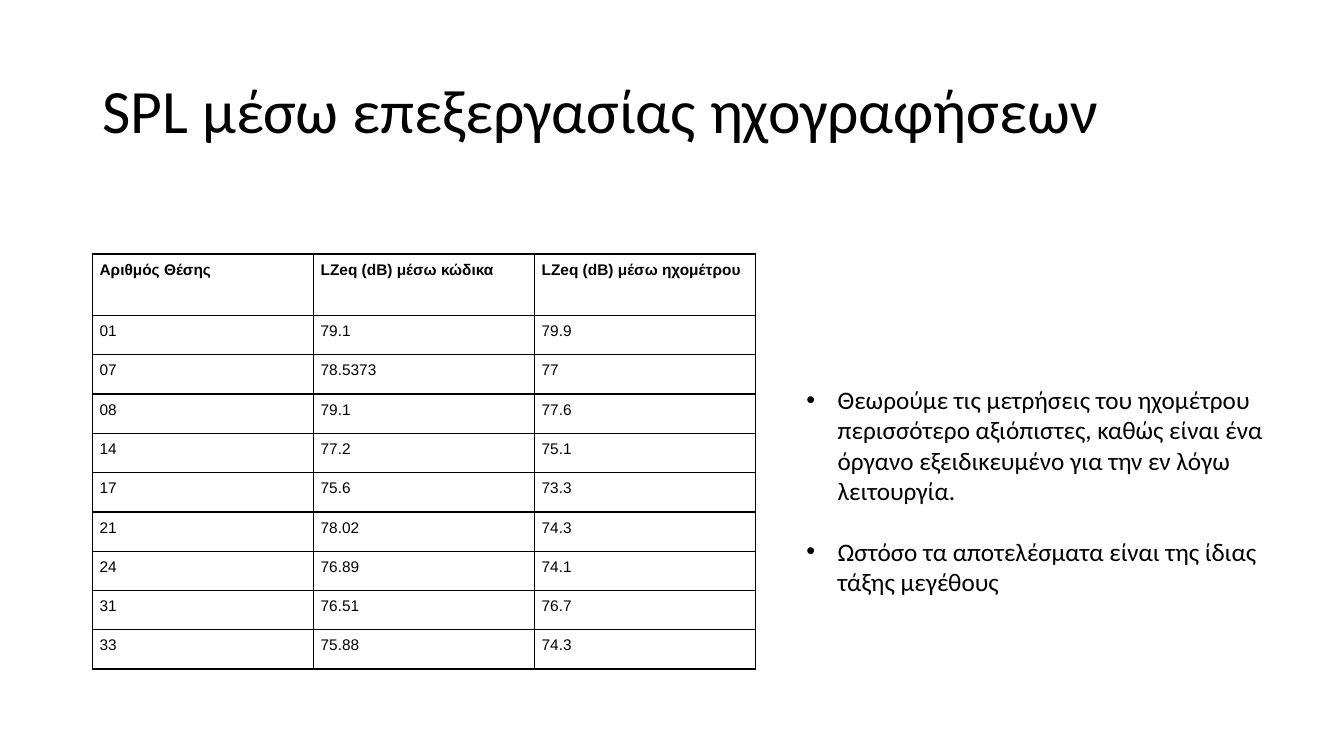
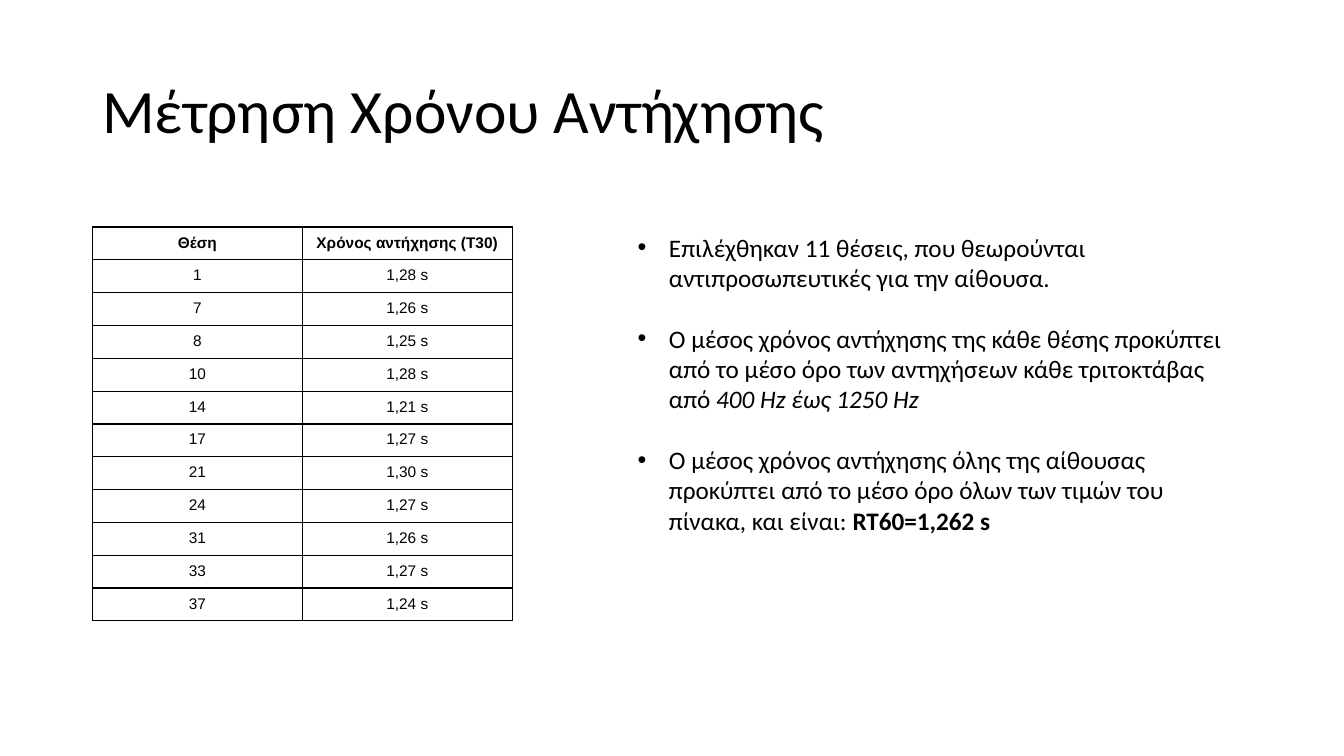
from lxml import etree
from pptx import Presentation
from pptx import util as u
from pptx.dml.color import RGBColor
from pptx.enum import text as t
from pptx.oxml import parse_xml
from pptx.oxml.ns import nsdecls, qn

Cm, Pt = u.Cm, u.Pt
INK = "000000"
LEFT = 2.33


def tint(code):
    return RGBColor.from_string(code)


def write(para, words, size=18, font="Calibri", color=INK, bold=False, italic=False):
    run = para.add_run()
    run.text = words
    face = run.font
    face.size, face.name = Pt(size), font
    face.bold, face.italic = bold, italic
    face.color.rgb = tint(color)


def edge(cell, width=1, color=INK):
    """Draw a solid line on all four sides of a cell."""
    props = cell._tc.get_or_add_tcPr()
    for side in ("lnL", "lnR", "lnT", "lnB"):
        props.append(parse_xml(
            f'<a:{side} {nsdecls("a")} w="{Pt(width)}"><a:solidFill>'
            f'<a:srgbClr val="{color}"/></a:solidFill></a:{side}>'))


def dot(para, indent=0.79):
    """Give a paragraph a hanging bullet."""
    props = para._p.get_or_add_pPr()
    props.set("marL", str(Cm(indent)))
    props.set("indent", str(-Cm(indent)))
    etree.SubElement(props, qn("a:buFont")).set("typeface", "Arial")
    etree.SubElement(props, qn("a:buChar")).set("char", "•")


class Deck:
    def __init__(self):
        self.file = Presentation()
        self.file.slide_width, self.file.slide_height = Cm(33.87), Cm(19.05)
        self.slide = None

    def page(self, title):
        """Start a slide with its title."""
        self.slide = self.file.slides.add_slide(self.file.slide_layouts[6])
        frame = self.box(LEFT, 1.02, 29.21, 3.68)
        frame.vertical_anchor = t.MSO_ANCHOR.MIDDLE
        para = frame.paragraphs[0]
        para.line_spacing = 0.9
        write(para, title, size=44)

    def box(self, x, y, w, h):
        frame = self.slide.shapes.add_textbox(Cm(x), Cm(y), Cm(w), Cm(h)).text_frame
        frame.word_wrap = True
        return frame

    def list(self, items, x, y, w, h, top=0.13):
        """Add bullets; each item is a list of (words, format) runs."""
        frame = self.box(x, y, w, h)
        frame.margin_top = Cm(top)
        for i, runs in enumerate(items):
            para = frame.add_paragraph() if i else frame.paragraphs[0]
            if i:
                para.space_before = Pt(21.8)
            dot(para)
            for words, style in runs:
                write(para, words, **style)

    def table(self, rows, y, wide, high, head, align=t.PP_ALIGN.LEFT):
        """Add a ruled table with a bold first row of height head."""
        count, cols = len(rows), len(rows[0])
        grid = self.slide.shapes.add_table(
            count, cols, Cm(LEFT), Cm(y), Cm(wide * cols),
            Cm(head + high * (count - 1))).table
        grid.first_row = grid.horz_banding = False
        for col in grid.columns:
            col.width = Cm(wide)
        for i, row in enumerate(rows):
            grid.rows[i].height = Cm(high if i else head)
            for j, words in enumerate(row):
                self.cell(grid.cell(i, j), words, align, bold=i == 0)

    def cell(self, cell, words, align, bold):
        cell.margin_left = cell.margin_right = Cm(0.18)
        cell.margin_top = cell.margin_bottom = Cm(0.18)
        edge(cell)
        cell.fill.background()
        para = cell.text_frame.paragraphs[0]
        para.alignment = align
        write(para, words, size=11, font="Arial", bold=bold)


LEVELS = [
    ("Αριθμός Θέσης", "LZeq (dB) μέσω κώδικα", "LZeq (dB) μέσω ηχομέτρου"),
    ("01", "79.1", "79.9"),
    ("07", "78.5373", "77"),
    ("08", "79.1", "77.6"),
    ("14", "77.2", "75.1"),
    ("17", "75.6", "73.3"),
    ("21", "78.02", "74.3"),
    ("24", "76.89", "74.1"),
    ("31", "76.51", "76.7"),
    ("33", "75.88", "74.3"),
]
TIMES = [
    ("Θέση", "Χρόνος αντήχησης (Τ30)"),
    ("1", "1,28 s"),
    ("7", "1,26 s"),
    ("8", "1,25 s"),
    ("10", "1,28 s"),
    ("14", "1,21 s"),
    ("17", "1,27 s"),
    ("21", "1,30 s"),
    ("24", "1,27 s"),
    ("31", "1,26 s"),
    ("33", "1,27 s"),
    ("37", "1,24 s"),
]


def main():
    deck = Deck()

    deck.page("SPL μέσω επεξεργασίας ηχογραφήσεων")
    deck.table(LEVELS, y=6.4, wide=5.57, high=0.99, head=1.55)
    deck.list([
        [("Θεωρούμε τις μετρήσεις του ηχομέτρου περισσότερο αξιόπιστες, καθώς "
          "είναι ένα όργανο εξειδικευμένο για την εν λόγω λειτουργία.", {})],
        [("Ωστόσο τα αποτελέσματα είναι της ίδιας τάξης μεγέθους", {})],
    ], 20.07, 8.79, 13.13, 6.4, top=0.9)

    deck.page("Μέτρηση Χρόνου Αντήχησης")
    deck.table(TIMES, y=5.72, wide=5.29, high=0.79, head=0.79,
               align=t.PP_ALIGN.CENTER)
    deck.list([
        [("Επιλέχθηκαν 11 θέσεις, που θεωρούνται αντιπροσωπευτικές για την "
          "αίθουσα.", {})],
        [("Ο μέσος χρόνος αντήχησης της κάθε θέσης προκύπτει από το μέσο όρο "
          "των αντηχήσεων κάθε τριτοκτάβας από ", {}),
         ("400 Hz έως 1250 Hz", {"italic": True})],
        [("Ο μέσος χρόνος αντήχησης όλης της αίθουσας προκύπτει από το μέσο "
          "όρο όλων των τιμών του πίνακα, και είναι: ", {}),
         ("RT60=1,262 s", {"bold": True})],
    ], 15.82, 5.72, 15.7, 12.32)

    deck.file.save("out.pptx")


if __name__ == "__main__":
    main()
